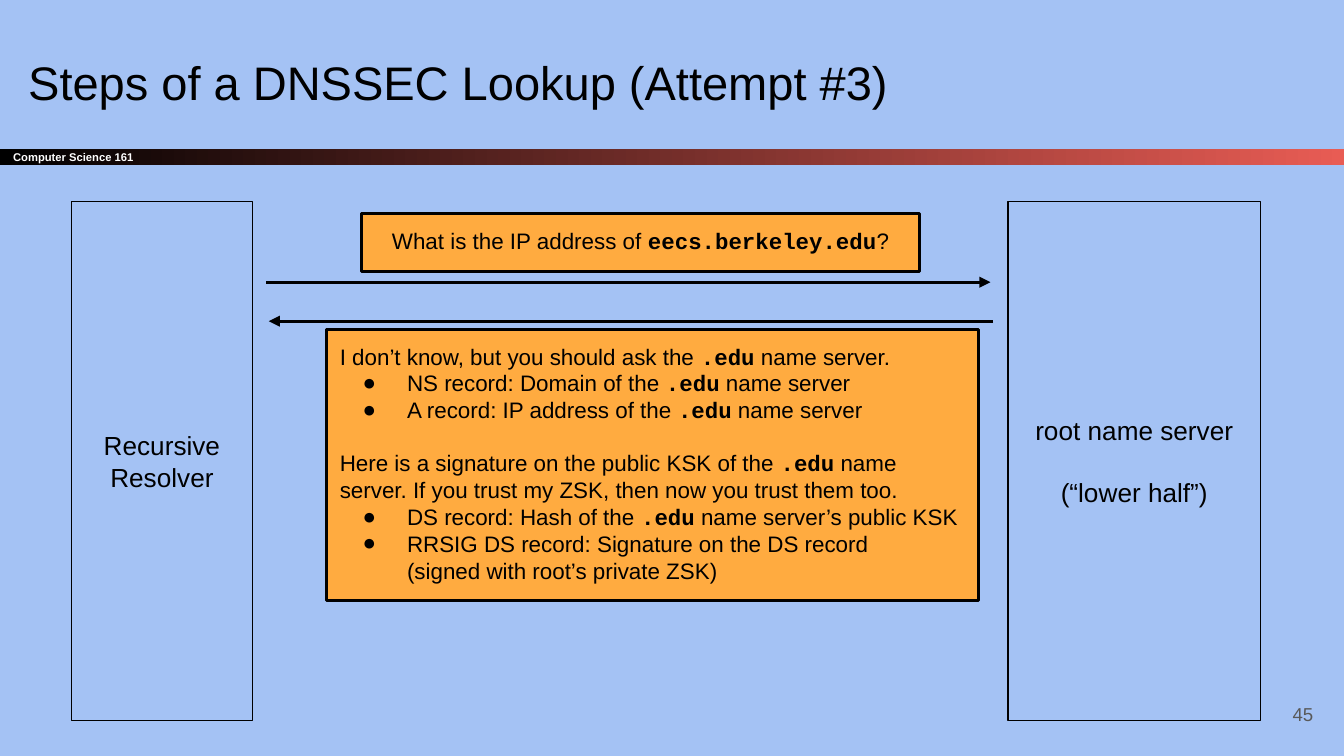
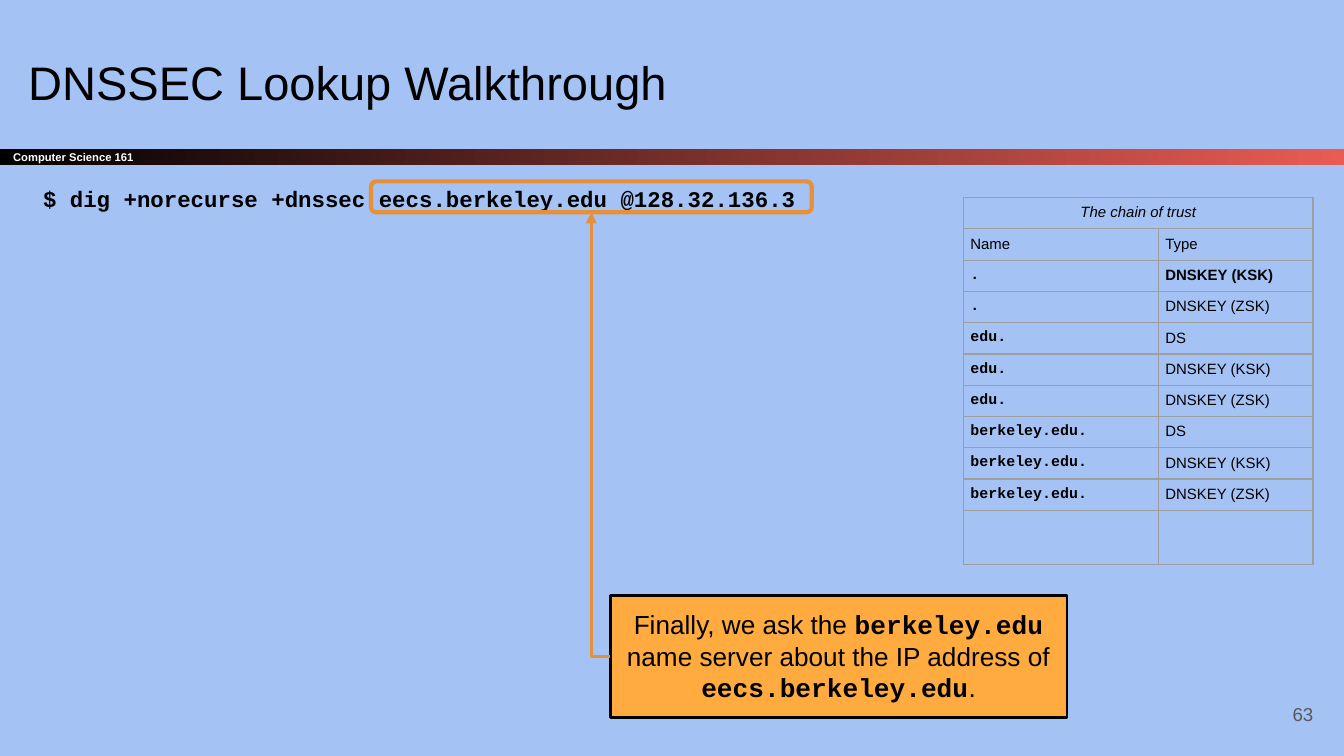
from dataclasses import dataclass

from lxml import etree
from pptx import Presentation
from pptx.dml.color import RGBColor
from pptx.enum.shapes import MSO_CONNECTOR, MSO_SHAPE
from pptx.enum.text import MSO_ANCHOR, MSO_AUTO_SIZE, PP_ALIGN
from pptx.oxml.ns import qn
from pptx.util import Inches, Pt

LEFT, CENTER, RIGHT = PP_ALIGN.LEFT, PP_ALIGN.CENTER, PP_ALIGN.RIGHT
TOP, MIDDLE = MSO_ANCHOR.TOP, MSO_ANCHOR.MIDDLE
RECTANGLE, ROUNDED = MSO_SHAPE.RECTANGLE, MSO_SHAPE.ROUNDED_RECTANGLE
STRAIGHT, ELBOW = MSO_CONNECTOR.STRAIGHT, MSO_CONNECTOR.ELBOW
FIXED_SIZE = MSO_AUTO_SIZE.NONE
LEFT_SITE, BOTTOM_SITE = 1, 2
BODY_LAYOUT, TITLE_LAYOUT = 1, 5
COLUMNS, ROWS = 100, 56.25


def grid(units):
    return Inches(round(units * 0.1, 3))


@dataclass(frozen=True)
class Theme:
    background: str = "A4C2F4"
    ink: str = "000000"
    band_end: str = "E85C54"
    band_text: str = "FFFFFF"
    number: str = "595959"
    note: str = "FFAB40"
    accent: str = "E69138"
    table_border: str = "9E9E9E"
    sans: str = "Arial"
    code: str = "Courier New"
    title_size: float = 25.2
    large: float = 14
    medium: float = 12
    page_size: float = 10
    table_size: float = 8
    band_size: float = 6
    thin: float = 0.75
    line: float = 1.5
    thick: float = 2.25


@dataclass(frozen=True)
class Box:
    left: float
    top: float
    width: float
    height: float

    def area(self, left, top, width, height):
        return Box(self.left + left, self.top + top, width, height)

    def point(self, left, top):
        return grid(self.left + left), grid(self.top + top)

    def frame(self):
        return [grid(units) for units in (self.left, self.top, self.width, self.height)]


THEME = Theme()
BAND = Box(0, 11.1, COLUMNS, 1.2)
TITLE = Box(1.1, 3, 93.2, 6.3)
NUMBER = Box(92.7, 51, 6, 4.3)
EXCHANGE = Box(5.3, 15, 88.5, 38.6)
COMMAND = Box(2.2, 12.5, 74.8, 43.75)
TRUST = Box(71.7, 14.7, 26, 27.3)

REPLY = [
    ("I don’t know, but you should ask the `.edu` name server.", False),
    ("NS record: Domain of the `.edu` name server", True),
    ("A record: IP address of the `.edu` name server", True),
    ("Here is a signature on the public KSK of the `.edu` name server. "
     "If you trust my ZSK, then now you trust them too.", False),
    ("DS record: Hash of the `.edu` name server’s public KSK", True),
    ("RRSIG DS record: Signature on the DS record\n(signed with root’s private ZSK)", True),
]
TRUST_CHAIN = [
    (".", ("KSK", "ZSK")),
    ("edu.", ("DS", "KSK", "ZSK")),
    ("berkeley.edu.", ("DS", "KSK", "ZSK")),
]


def rgb(value):
    return RGBColor.from_string(value)


def write(paragraph, text, size, color=THEME.ink, align=LEFT, bold=False, italic=False):
    paragraph.alignment = align
    for index, piece in enumerate(text.split("`")):
        is_code = index % 2 == 1
        for line_index, line in enumerate(piece.split("\n")):
            if line_index:
                paragraph.add_line_break()
            if line:
                run = paragraph.add_run()
                run.text = line
                run.font.name = THEME.code if is_code else THEME.sans
                run.font.size = Pt(size)
                run.font.bold = is_code or bold
                run.font.italic = italic
                run.font.color.rgb = rgb(color)


def prepare(text_frame, anchor, vertical_inset=1):
    text_frame.word_wrap = True
    text_frame.auto_size = FIXED_SIZE
    text_frame.vertical_anchor = anchor
    text_frame.margin_left = text_frame.margin_right = grid(1)
    text_frame.margin_top = text_frame.margin_bottom = grid(vertical_inset)
    return text_frame


def add_bullet(paragraph):
    properties = paragraph._p.get_or_add_pPr()
    properties.set("marL", str(Inches(0.5)))
    properties.set("indent", str(-Inches(0.33)))
    color = etree.SubElement(properties, qn("a:buClr"))
    etree.SubElement(color, qn("a:srgbClr"), val=THEME.ink)
    etree.SubElement(properties, qn("a:buFont"), typeface=THEME.sans)
    etree.SubElement(properties, qn("a:buChar"), char="●")


def add_box(slide, box, fill=None, line=THEME.ink, width=THEME.line, kind=RECTANGLE, anchor=TOP):
    shape = slide.shapes.add_shape(kind, *box.frame())
    shape.shadow.inherit = False
    if fill:
        shape.fill.solid()
        shape.fill.fore_color.rgb = rgb(fill)
    else:
        shape.fill.background()
    shape.line.color.rgb = rgb(line)
    shape.line.width = Pt(width)
    prepare(shape.text_frame, anchor)
    return shape


def add_note(slide, box, text, size):
    shape = add_box(slide, box, THEME.note)
    write(shape.text_frame.paragraphs[0], text, size, align=CENTER)
    return shape


def add_arrow(slide, start, end, color=THEME.ink, kind=STRAIGHT):
    connector = slide.shapes.add_connector(kind, *start, *end)
    connector.line.color.rgb = rgb(color)
    connector.line.width = Pt(THEME.line)
    etree.SubElement(connector.line._get_or_add_ln(), qn("a:tailEnd"), type="triangle")
    etree.SubElement(connector._element.spPr, qn("a:effectLst"))
    return connector


def add_actor(slide, box, lines):
    text_frame = add_box(slide, box, width=THEME.thin, anchor=MIDDLE).text_frame
    for index, line in enumerate(lines):
        paragraph = text_frame.add_paragraph() if index else text_frame.paragraphs[0]
        write(paragraph, line, THEME.large, align=CENTER)
        if index:
            paragraph.space_before = Pt(THEME.large * 1.15)


def add_reply(slide, box):
    text_frame = add_box(slide, box, THEME.note).text_frame
    after_bullet = False
    for index, (text, bulleted) in enumerate(REPLY):
        paragraph = text_frame.add_paragraph() if index else text_frame.paragraphs[0]
        write(paragraph, text, THEME.medium)
        if after_bullet and not bulleted:
            paragraph.space_before = Pt(THEME.medium * 1.15)
        if bulleted:
            add_bullet(paragraph)
        after_bullet = bulleted


def style_master(presentation, slide):
    master = presentation.slide_master
    master.background.fill.solid()
    master.background.fill.fore_color.rgb = rgb(THEME.background)
    band = add_box(slide, BAND, anchor=MIDDLE)
    band.line.fill.background()
    band.fill.gradient()
    band.fill.gradient_angle = 0
    for stop, color in zip(band.fill.gradient_stops, (THEME.ink, THEME.band_end)):
        stop.color.rgb = rgb(color)
    text_frame = prepare(band.text_frame, MIDDLE, 0)
    write(text_frame.paragraphs[0], "Computer Science 161", THEME.band_size,
          THEME.band_text, bold=True)
    master.shapes._spTree.append(band._element)


def place(shape, box):
    shape.left, shape.top, shape.width, shape.height = box.frame()


def add_slide(presentation, layout, title, number):
    slide = presentation.slides.add_slide(presentation.slide_layouts[layout])
    heading = slide.shapes.title
    place(heading, TITLE)
    write(prepare(heading.text_frame, TOP).paragraphs[0], title, THEME.title_size)
    page = slide.shapes.add_textbox(*NUMBER.frame())
    write(prepare(page.text_frame, MIDDLE).paragraphs[0], str(number),
          THEME.page_size, THEME.number, RIGHT)
    return slide


def draw_exchange(slide, box):
    add_actor(slide, box.area(0, 0, 13.5, box.height), ["Recursive Resolver"])
    add_actor(slide, box.area(69.7, 0, 18.8, box.height), ["root name server", "(“lower half”)"])
    add_arrow(slide, box.point(14.5, 6), box.point(68.4, 6))
    add_note(slide, box.area(21.6, 0.9, 41.5, 4.3),
             "What is the IP address of `eecs.berkeley.edu`?", THEME.medium)
    add_arrow(slide, box.point(68.6, 8.9), box.point(14.7, 8.9))
    add_reply(slide, box.area(19, 9.5, 48.5, 20.2))


def draw_command(slide, box):
    body = slide.placeholders[1]
    place(body, box)
    paragraph = prepare(body.text_frame, TOP).paragraphs[0]
    write(paragraph, "`$ dig +norecurse +dnssec eecs.berkeley.edu @128.32.136.3`", THEME.medium)
    paragraph.space_before = Pt(0)
    paragraph.line_spacing = 1.15
    properties = paragraph._p.get_or_add_pPr()
    properties.set("marL", "0")
    properties.set("indent", "0")
    etree.SubElement(properties, qn("a:buNone"))

    highlight = add_box(slide, box.area(25.4, 1, 32.8, 2.3), line=THEME.accent,
                        width=THEME.thick, kind=ROUNDED)
    callout = add_note(slide, box.area(43.2, 31.8, 34, 9.1),
                       "Finally, we ask the `berkeley.edu` name server about "
                       "the IP address of `eecs.berkeley.edu`.", THEME.large)
    pointer = add_arrow(slide, box.point(43.2, 36.3), box.point(41.8, 3.3), THEME.accent, ELBOW)
    pointer.begin_connect(callout, LEFT_SITE)
    pointer.end_connect(highlight, BOTTOM_SITE)
    properties = pointer._element.spPr
    properties.find(qn("a:prstGeom")).set("prst", "bentConnector2")
    transform = properties.find(qn("a:xfrm"))
    for flip in ("flipH", "flipV"):
        transform.attrib.pop(flip, None)
    transform.set("rot", str(180 * 60000))


def style_cell(cell):
    cell.fill.background()
    cell.margin_left = cell.margin_right = grid(0.5)
    cell.margin_top = cell.margin_bottom = grid(0.5)
    properties = cell._tc.get_or_add_tcPr()
    for index, side in enumerate(("a:lnL", "a:lnR", "a:lnT", "a:lnB")):
        border = etree.Element(qn(side), w=str(Pt(THEME.thin)))
        fill = etree.SubElement(border, qn("a:solidFill"))
        etree.SubElement(fill, qn("a:srgbClr"), val=THEME.table_border)
        properties.insert(index, border)


def draw_trust_table(slide, box):
    records = [(name, kind if kind == "DS" else f"DNSKEY ({kind})")
               for name, kinds in TRUST_CHAIN for kind in kinds]
    row_count = len(records) + 3
    table = slide.shapes.add_table(row_count, 2, *box.frame()).table
    table.first_row = table.horz_banding = False
    table.columns[0].width, table.columns[1].width = grid(14.5), grid(11.5)
    for row in table.rows:
        row.height = grid(2.33)
        for cell in row.cells:
            style_cell(cell)
    table.rows[row_count - 1].height = grid(4)
    table.cell(0, 0).merge(table.cell(0, 1))
    write(table.cell(0, 0).text_frame.paragraphs[0], "The chain of trust",
          THEME.table_size, align=CENTER, italic=True)
    rows = [("Name", "Type")] + [(f"`{name}`", kind) for name, kind in records]
    for row_index, values in enumerate(rows, 1):
        for column, value in enumerate(values):
            write(table.cell(row_index, column).text_frame.paragraphs[0], value,
                  THEME.table_size, bold=(row_index, column) == (2, 1))


def main():
    presentation = Presentation()
    presentation.slide_width, presentation.slide_height = grid(COLUMNS), grid(ROWS)
    lookup = add_slide(presentation, TITLE_LAYOUT, "Steps of a DNSSEC Lookup (Attempt #3)", 45)
    style_master(presentation, lookup)
    draw_exchange(lookup, EXCHANGE)
    walkthrough = add_slide(presentation, BODY_LAYOUT, "DNSSEC Lookup Walkthrough", 63)
    draw_command(walkthrough, COMMAND)
    draw_trust_table(walkthrough, TRUST)
    presentation.save("out.pptx")


main()
